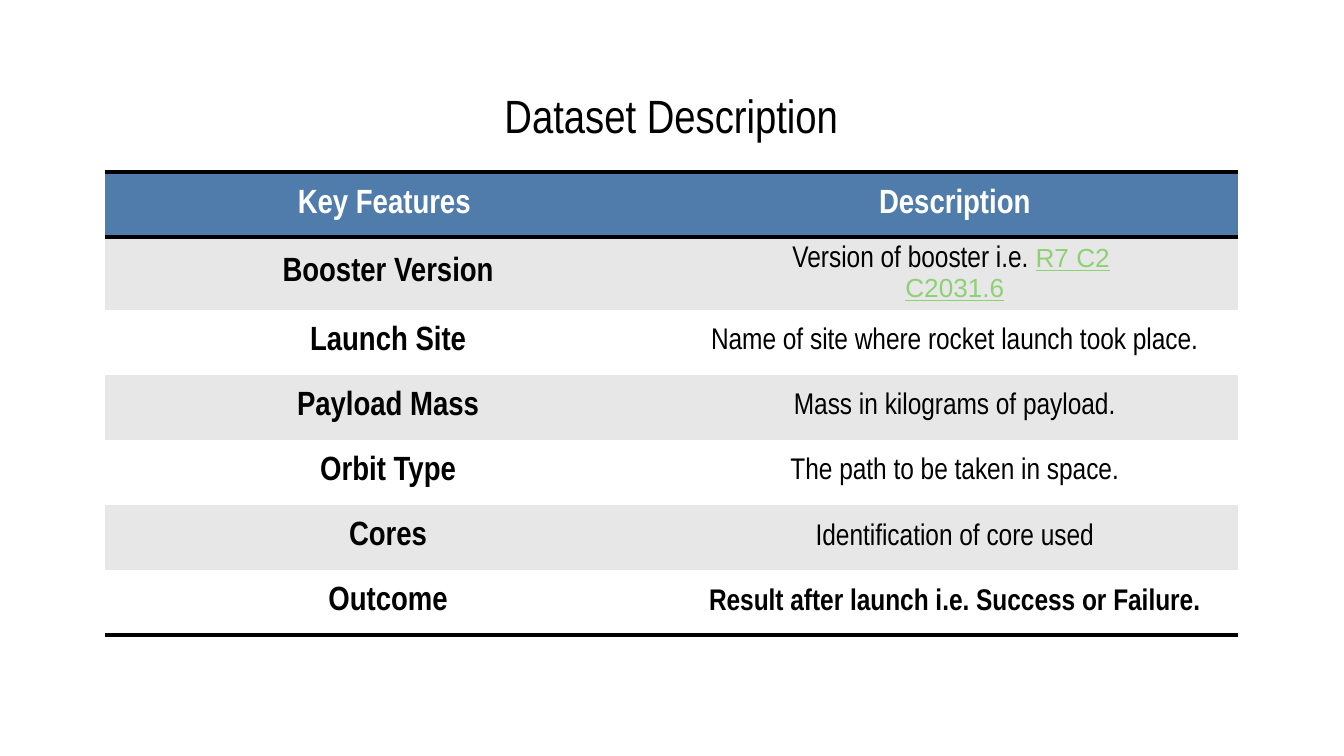
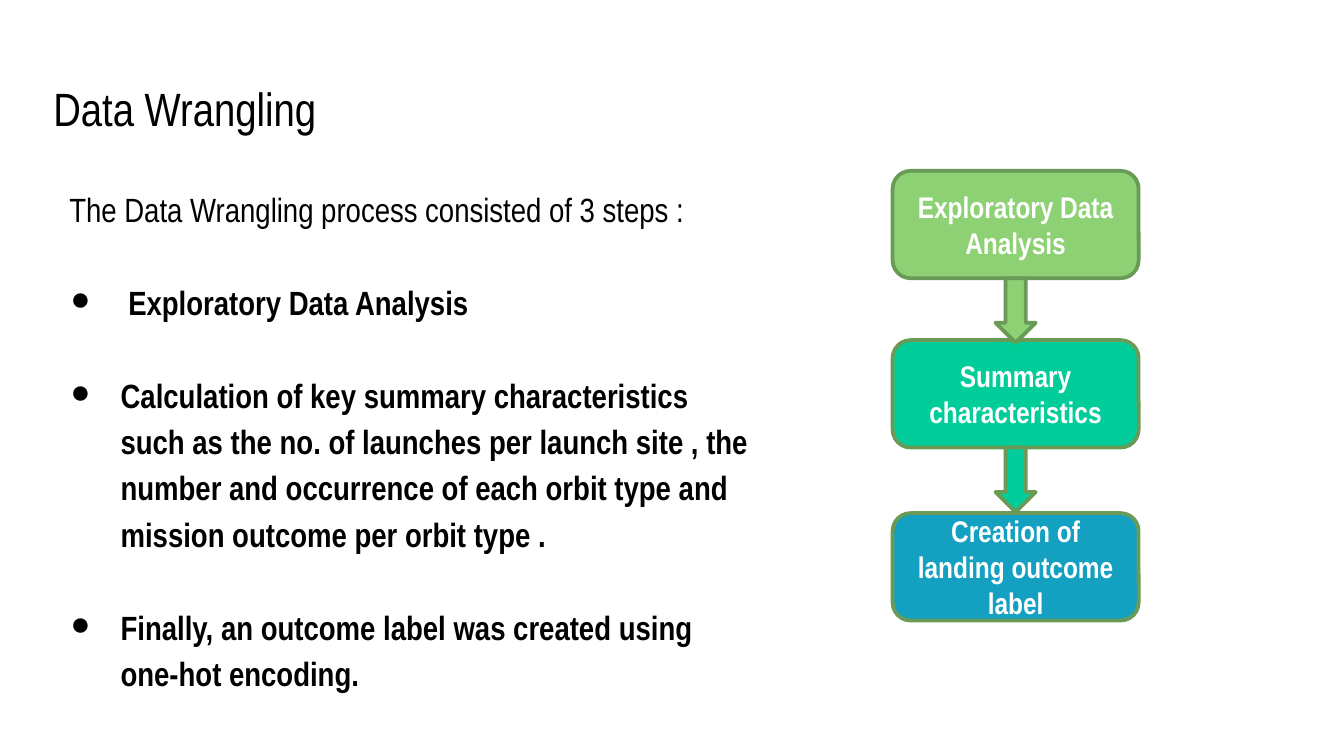
from dataclasses import dataclass

from lxml.etree import SubElement
from pptx import Presentation
from pptx.dml.color import RGBColor
from pptx.enum.shapes import MSO_SHAPE
from pptx.enum.text import MSO_ANCHOR, PP_ALIGN
from pptx.oxml.ns import qn
from pptx.util import Cm, Pt


@dataclass(frozen=True)
class Theme:
    font: str = "Arial Narrow"
    code_font: str = "Arial"
    ink: str = "000000"
    paper: str = "FFFFFF"
    header: str = "4F7CAA"
    band: str = "E7E7E7"
    green: str = "8ED174"
    mint: str = "00CD99"
    blue: str = "14A0C1"
    outline: str = "699B56"
    title_size: int = 25
    text_size: int = 18
    detail_size: int = 16
    code_size: int = 14
    rule_width: int = 2


THEME = Theme()
PLAIN_TABLE_STYLE = "{2D5ABB26-0587-4C30-8999-92F81FD0307C}"

FEATURES = [
    ("Booster Version", "Version of booster i.e. "),
    ("Launch Site", "Name of site where rocket launch took place."),
    ("Payload Mass", "Mass in kilograms of payload."),
    ("Orbit Type", "The path to be taken in space."),
    ("Cores", "Identification of core used"),
    ("Outcome", "Result after launch i.e. Success or Failure."),
]

WRANGLING_STEPS = [
    (" ", "Exploratory Data Analysis"),
    ("Calculation of key summary characteristics such as the no. of launches "
     "per launch site , the number and occurrence of each orbit type and "
     "mission outcome per orbit type .",),
    ("Finally, an outcome label was created using one-hot encoding.",),
]

FLOW = [
    ("Exploratory Data Analysis", THEME.green, 3.23),
    ("Summary characteristics", THEME.mint, 6.43),
    ("Creation of landing outcome label", THEME.blue, 9.7),
]


def add_run(paragraph, text, size, color=THEME.ink, bold=False,
            font=THEME.font, underline=False):
    run = paragraph.add_run()
    run.text = text
    run.font.name = font
    run.font.size = Pt(size)
    run.font.bold = bold
    run.font.underline = underline
    run.font.color.rgb = RGBColor.from_string(color)


def paint(target, color):
    target.fill.solid()
    target.fill.fore_color.rgb = RGBColor.from_string(color)


def add_text_frame(slide, left, top, width, height, anchor):
    """Add a wrapping text box with equal insets and return its frame."""
    box = slide.shapes.add_textbox(Cm(left), Cm(top), Cm(width), Cm(height))
    frame = box.text_frame
    frame.word_wrap = True
    frame.vertical_anchor = anchor
    frame.margin_left = frame.margin_right = Cm(0.25)
    frame.margin_top = frame.margin_bottom = Cm(0.25)
    return frame


def add_title(slide, text, left, top, align):
    frame = add_text_frame(slide, left, top, 21.41, 1.35, MSO_ANCHOR.MIDDLE)
    heading = frame.paragraphs[0]
    heading.alignment = align
    add_run(heading, text, THEME.title_size)


def rule_cell(cell, *edges):
    """Draw rules on the given cell edges ("T", "B"), listed in that order."""
    properties = cell._tc.get_or_add_tcPr()
    for position, edge in enumerate(edges):
        rule = SubElement(properties, qn(f"a:ln{edge}"), w=str(Pt(THEME.rule_width)))
        fill = SubElement(rule, qn("a:solidFill"))
        SubElement(fill, qn("a:srgbClr"), val=THEME.ink)
        properties.insert(position, rule)


def centred_paragraph(cell):
    cell.vertical_anchor = MSO_ANCHOR.MIDDLE
    cell.margin_top = cell.margin_bottom = Cm(0.05)
    paragraph = cell.text_frame.paragraphs[0]
    paragraph.alignment = PP_ALIGN.CENTER
    return paragraph


def add_booster_code(paragraph):
    code = {"size": THEME.code_size, "font": THEME.code_font}
    add_run(paragraph, "R7 C2", color=THEME.green, underline=True, **code)
    add_run(paragraph, " ", **code)
    paragraph.add_line_break()
    add_run(paragraph, "C2031.6", color=THEME.green, underline=True, **code)


def add_feature_table(slide):
    row_height = Cm(1.23)
    row_count = len(FEATURES) + 1
    table = slide.shapes.add_table(row_count, 2, Cm(1.98), Cm(3.25),
                                   Cm(21.42), row_height * row_count).table
    table.first_row = table.horz_banding = False
    table._tbl.tblPr.find(qn("a:tableStyleId")).text = PLAIN_TABLE_STYLE
    for row in table.rows:
        row.height = row_height

    for cell, label in zip(table.rows[0].cells, ("Key Features ", "Description")):
        add_run(centred_paragraph(cell), label, THEME.text_size, THEME.paper, bold=True)
        paint(cell, THEME.header)
        rule_cell(cell, "T", "B")

    for number, (feature, description) in enumerate(FEATURES, start=1):
        is_last = number == len(FEATURES)
        feature_cell, description_cell = table.rows[number].cells
        add_run(centred_paragraph(feature_cell), feature, THEME.text_size, bold=True)
        detail = centred_paragraph(description_cell)
        add_run(detail, description, THEME.detail_size, bold=is_last)
        if number == 1:
            add_booster_code(detail)
        for cell in (feature_cell, description_cell):
            paint(cell, THEME.band if number % 2 else THEME.paper)
            if is_last:
                rule_cell(cell, "B")


def indent(paragraph, left, first_line=0.0):
    properties = paragraph._p.get_or_add_pPr()
    properties.set("marL", str(Cm(left)))
    properties.set("indent", str(Cm(first_line)))
    return properties


def add_bullet(paragraph):
    properties = indent(paragraph, 1.27, -0.95)
    color = SubElement(properties, qn("a:buClr"))
    SubElement(color, qn("a:srgbClr"), val=THEME.ink)
    SubElement(properties, qn("a:buFont"), typeface=THEME.font)
    SubElement(properties, qn("a:buChar"), char="●")


def add_step_list(slide):
    frame = add_text_frame(slide, 0.76, 3.2, 13.74, 10.36, MSO_ANCHOR.TOP)
    intro = frame.paragraphs[0]
    intro.line_spacing = 1.15
    indent(intro, 0.3)
    add_run(intro, "The Data Wrangling process consisted of 3 steps :", THEME.text_size)
    for parts in WRANGLING_STEPS:
        step = frame.add_paragraph()
        step.line_spacing = 1.15
        step.space_before = Pt(25)
        add_bullet(step)
        for part in parts:
            add_run(step, part, THEME.text_size, bold=bool(part.strip()))


def add_flow_shape(slide, preset, left, top, width, height, color):
    shape = slide.shapes.add_shape(preset, Cm(left), Cm(top), Cm(width), Cm(height))
    shape.shadow.inherit = False
    paint(shape, color)
    shape.line.color.rgb = RGBColor.from_string(THEME.outline)
    shape.line.width = Pt(THEME.rule_width)
    return shape


def add_flow(slide):
    left, width, height = 16.87, 4.65, 2.03
    arrow_width, arrow_height = 0.76, 1.22
    for label, color, top in FLOW:
        stage = add_flow_shape(slide, MSO_SHAPE.ROUNDED_RECTANGLE,
                               left, top, width, height, color)
        stage.text_frame.word_wrap = True
        stage.text_frame.vertical_anchor = MSO_ANCHOR.MIDDLE
        caption = stage.text_frame.paragraphs[0]
        caption.alignment = PP_ALIGN.CENTER
        add_run(caption, label, THEME.detail_size, THEME.paper, bold=True)
    for _, color, top in FLOW[:-1]:
        add_flow_shape(slide, MSO_SHAPE.DOWN_ARROW, left + (width - arrow_width) / 2,
                       top + height, arrow_width, arrow_height, color)


def add_blank_slide(deck):
    slide = deck.slides.add_slide(deck.slide_layouts[6])
    paint(slide.background, THEME.paper)
    return slide


def main():
    deck = Presentation()
    deck.slide_width, deck.slide_height = Cm(25.4), Cm(14.29)

    dataset = add_blank_slide(deck)
    add_title(dataset, "Dataset Description", 1.98, 1.5, PP_ALIGN.CENTER)
    add_feature_table(dataset)

    wrangling = add_blank_slide(deck)
    add_title(wrangling, "Data Wrangling", 0.76, 1.37, PP_ALIGN.LEFT)
    add_step_list(wrangling)
    add_flow(wrangling)

    deck.save("out.pptx")


if __name__ == "__main__":
    main()
